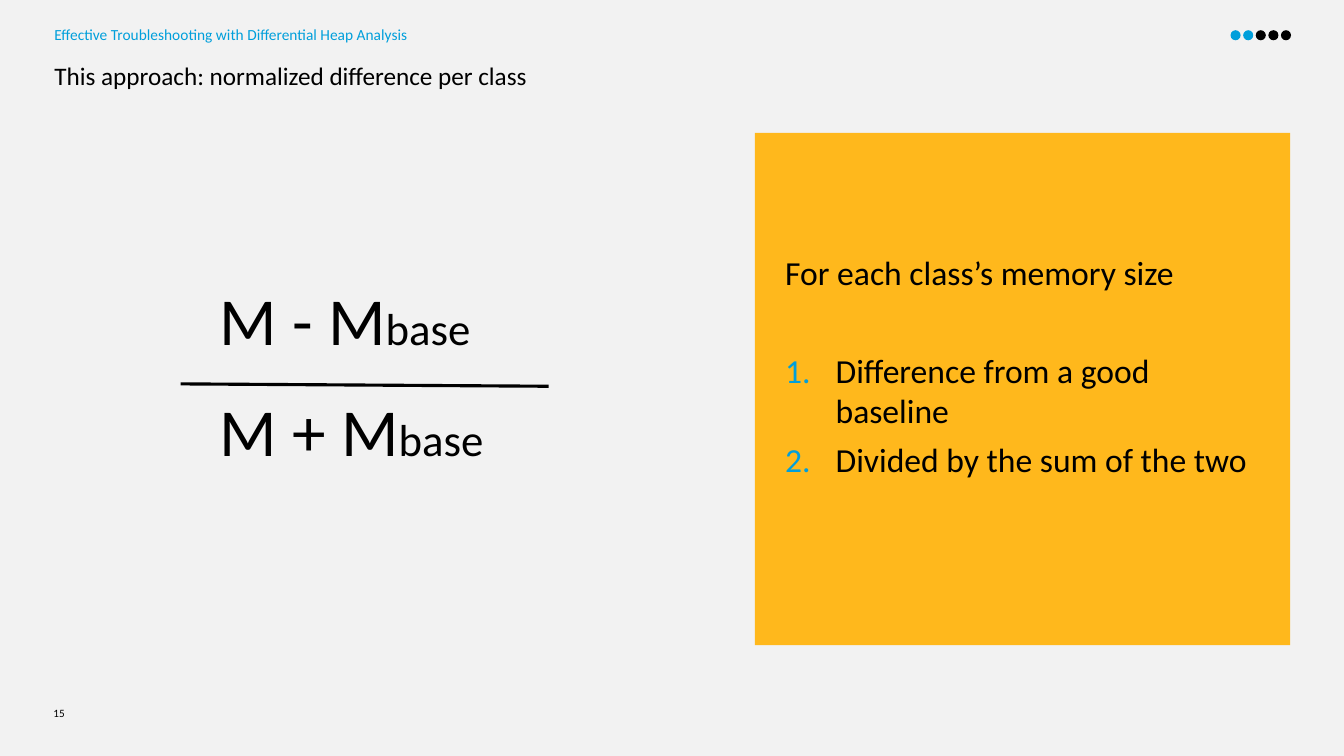
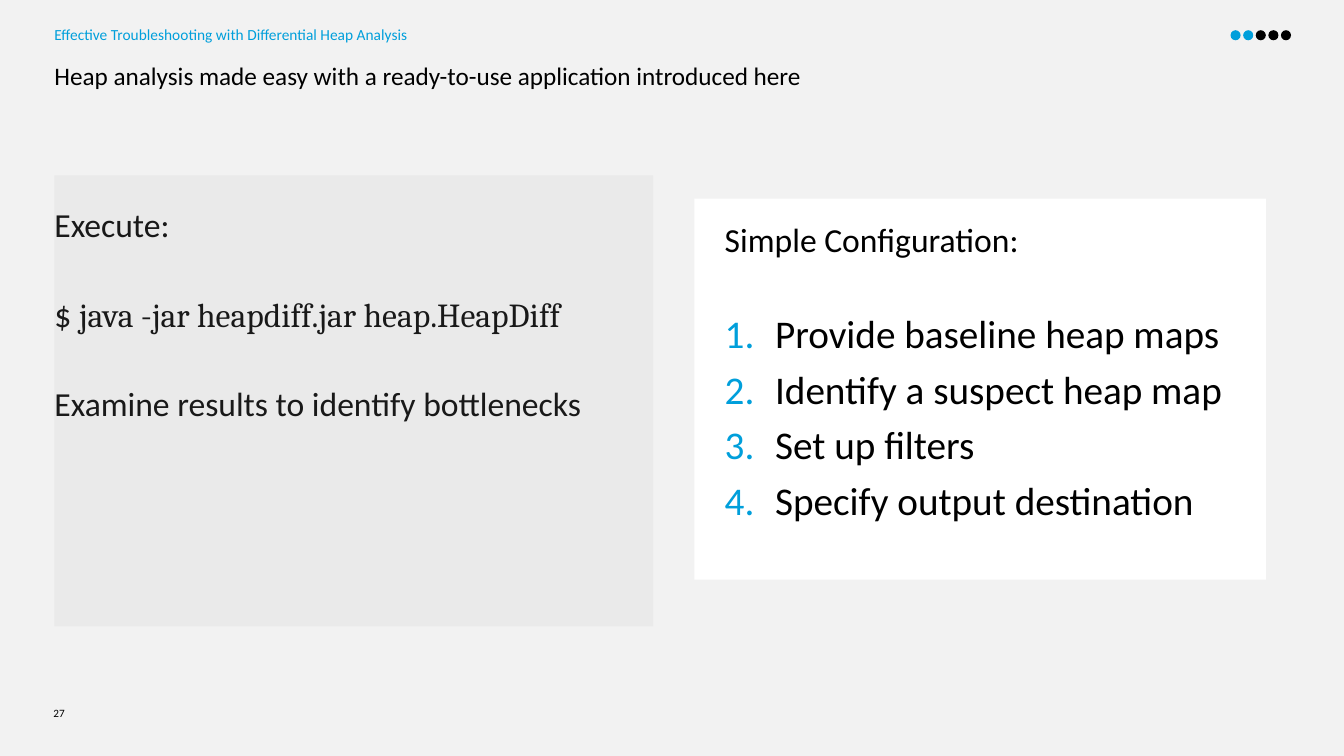
from dataclasses import dataclass

from lxml.etree import SubElement
from pptx import Presentation
from pptx.dml.color import RGBColor
from pptx.enum.shapes import MSO_CONNECTOR, MSO_SHAPE
from pptx.enum.text import MSO_ANCHOR, PP_ALIGN
from pptx.oxml.ns import qn
from pptx.util import Pt


@dataclass(frozen=True)
class Theme:
    # Colours
    background: str = "F2F2F2"
    accent: str = "009FDB"
    black: str = "000000"
    charcoal: str = "191919"
    yellow: str = "FFB81C"
    grey: str = "EAEAEA"
    white: str = "FFFFFF"
    # Fonts and type sizes
    font: str = "Calibri"
    code_font: str = "Cambria"
    number_size: int = 8
    header_size: int = 11
    title_size: int = 18
    body_size: int = 24
    list_size: int = 28
    base_size: int = 32
    formula_size: int = 48
    # Spacing
    margin: float = 38.9
    content_width: float = 882.7
    padding: float = 21.6
    indent: int = 36
    after: int = 6


THEME = Theme()
DECK_TITLE = "Effective Troubleshooting with Differential Heap Analysis"


def color(value):
    return RGBColor.from_string(value)


def set_up_frame(frame, insets=(0, 0, 0, 0)):
    """Wrap the text from the top, with insets left, top, right, bottom."""
    frame.word_wrap = True
    frame.vertical_anchor = MSO_ANCHOR.TOP
    (frame.margin_left, frame.margin_top,
     frame.margin_right, frame.margin_bottom) = map(Pt, insets)


def style_paragraph(paragraph, size, ink=THEME.black, line=None, before=0, after=0):
    paragraph.alignment = PP_ALIGN.LEFT
    paragraph.line_spacing = line
    paragraph.space_before = Pt(before)
    paragraph.space_after = Pt(after)
    paragraph.font.name = THEME.font
    paragraph.font.size = Pt(size)
    paragraph.font.color.rgb = color(ink)


def add_run(paragraph, text):
    run = paragraph.add_run()
    run.text = text
    return run


def number_paragraph(paragraph):
    """Give the paragraph a hanging, coloured automatic number."""
    properties = paragraph._p.get_or_add_pPr()
    properties.set("marL", str(Pt(THEME.indent)))
    properties.set("indent", str(-Pt(THEME.indent)))
    bullet_color = SubElement(properties, qn("a:buClr"))
    SubElement(bullet_color, qn("a:srgbClr"), val=THEME.accent)
    SubElement(properties, qn("a:buAutoNum"), type="arabicPeriod")


def add_text(slide, box, text, size, **style):
    """Add a one-paragraph text box and return its paragraph."""
    frame = slide.shapes.add_textbox(*map(Pt, box)).text_frame
    set_up_frame(frame)
    paragraph = frame.paragraphs[0]
    add_run(paragraph, text)
    style_paragraph(paragraph, size, **style)
    return paragraph


def add_filled_shape(slide, kind, box, fill):
    shape = slide.shapes.add_shape(kind, *map(Pt, box))
    shape.shadow.inherit = False
    shape.fill.solid()
    shape.fill.fore_color.rgb = color(fill)
    shape.line.fill.background()
    return shape


def add_panel(slide, box, fill, insets):
    """Add a coloured rectangle and return its text frame."""
    frame = add_filled_shape(slide, MSO_SHAPE.RECTANGLE, box, fill).text_frame
    set_up_frame(frame, insets)
    return frame


def add_list_panel(slide, box, fill, heading, items, size, top, gap):
    """Add a panel with a heading and, after a gap, a numbered list."""
    frame = add_panel(slide, box, fill, (THEME.padding, top, THEME.padding, 14.4))
    paragraph = frame.paragraphs[0]
    add_run(paragraph, heading)
    style_paragraph(paragraph, THEME.body_size, after=THEME.after)
    for index, item in enumerate(items):
        paragraph = frame.add_paragraph()
        number_paragraph(paragraph)
        add_run(paragraph, item)
        style_paragraph(paragraph, size, after=THEME.after,
                        before=gap if index == 0 else 0)


def add_line(slide, start, end, width):
    line = slide.shapes.add_connector(MSO_CONNECTOR.STRAIGHT, *map(Pt, start + end))
    line.line.color.rgb = color(THEME.black)
    line.line.width = Pt(width)
    SubElement(line._element.spPr, qn("a:effectLst"))


def add_progress_dots(slide, done=2, total=5):
    for index in range(total):
        add_filled_shape(slide, MSO_SHAPE.OVAL, (879 + 9 * index, 21.6, 7.2, 7.2),
                         THEME.accent if index < done else THEME.black)


def add_base_slide(presentation, title, number):
    """Add a slide with the background, header, title, number and dots."""
    slide = presentation.slides.add_slide(presentation.slide_layouts[6])
    slide.background.fill.solid()
    slide.background.fill.fore_color.rgb = color(THEME.background)
    add_text(slide, (THEME.margin, 18, THEME.content_width, 14.4), DECK_TITLE,
             THEME.header_size, ink=THEME.accent)
    add_text(slide, (THEME.margin, 41, THEME.content_width, 26.6), title,
             THEME.title_size, line=1.1, after=10)
    add_text(slide, (38.2, 504, 23, 18), str(number), THEME.number_size, line=Pt(10))
    add_progress_dots(slide)
    return slide


def add_formula_row(slide, top, text):
    paragraph = add_text(slide, (157, top, 275, 79.2), text, THEME.formula_size)
    add_run(paragraph, "base").font.size = Pt(THEME.base_size)


def add_difference_slide(presentation):
    slide = add_base_slide(
        presentation, "This approach: normalized difference per class", 15)
    # Fraction
    add_formula_row(slide, 198.7, "M - M")
    add_line(slide, (129, 274.2), (391.9, 275.9), 2.25)
    add_formula_row(slide, 277.9, "M + M")
    # Explanation
    add_list_panel(
        slide, (539.3, 95, 382.3, 365.8), THEME.yellow,
        "For each class’s memory size",
        ["Difference from a good baseline", "Divided by the sum of the two"],
        THEME.body_size, top=85, gap=35)


def add_application_slide(presentation):
    slide = add_base_slide(
        presentation,
        "Heap analysis made easy with a ready-to-use application introduced here", 27)
    # Commands
    frame = add_panel(slide, (THEME.margin, 125.3, 427.7, 322.2), THEME.grey,
                      (0, 23.6, 0, 0))
    steps = [("Execute:", ""),
             ("$ ", "java -jar heapdiff.jar heap.HeapDiff"),
             ("Examine results to identify bottlenecks", "")]
    for index, (text, code) in enumerate(steps):
        paragraph = frame.add_paragraph() if index else frame.paragraphs[0]
        add_run(paragraph, text)
        if code:
            add_run(paragraph, code).font.name = THEME.code_font
        style_paragraph(paragraph, THEME.body_size, ink=THEME.charcoal, line=0.9,
                        before=32 if index else 0, after=THEME.after)
    # Configuration
    add_list_panel(
        slide, (496.1, 141.8, 408.2, 272.2), THEME.white, "Simple Configuration:",
        ["Provide baseline heap maps", "Identify a suspect heap map",
         "Set up filters", "Specify output destination"],
        THEME.list_size, top=14.4, gap=30)


def main():
    presentation = Presentation()
    presentation.slide_width = Pt(960)
    presentation.slide_height = Pt(540)
    add_difference_slide(presentation)
    add_application_slide(presentation)
    presentation.save("out.pptx")


if __name__ == "__main__":
    main()
